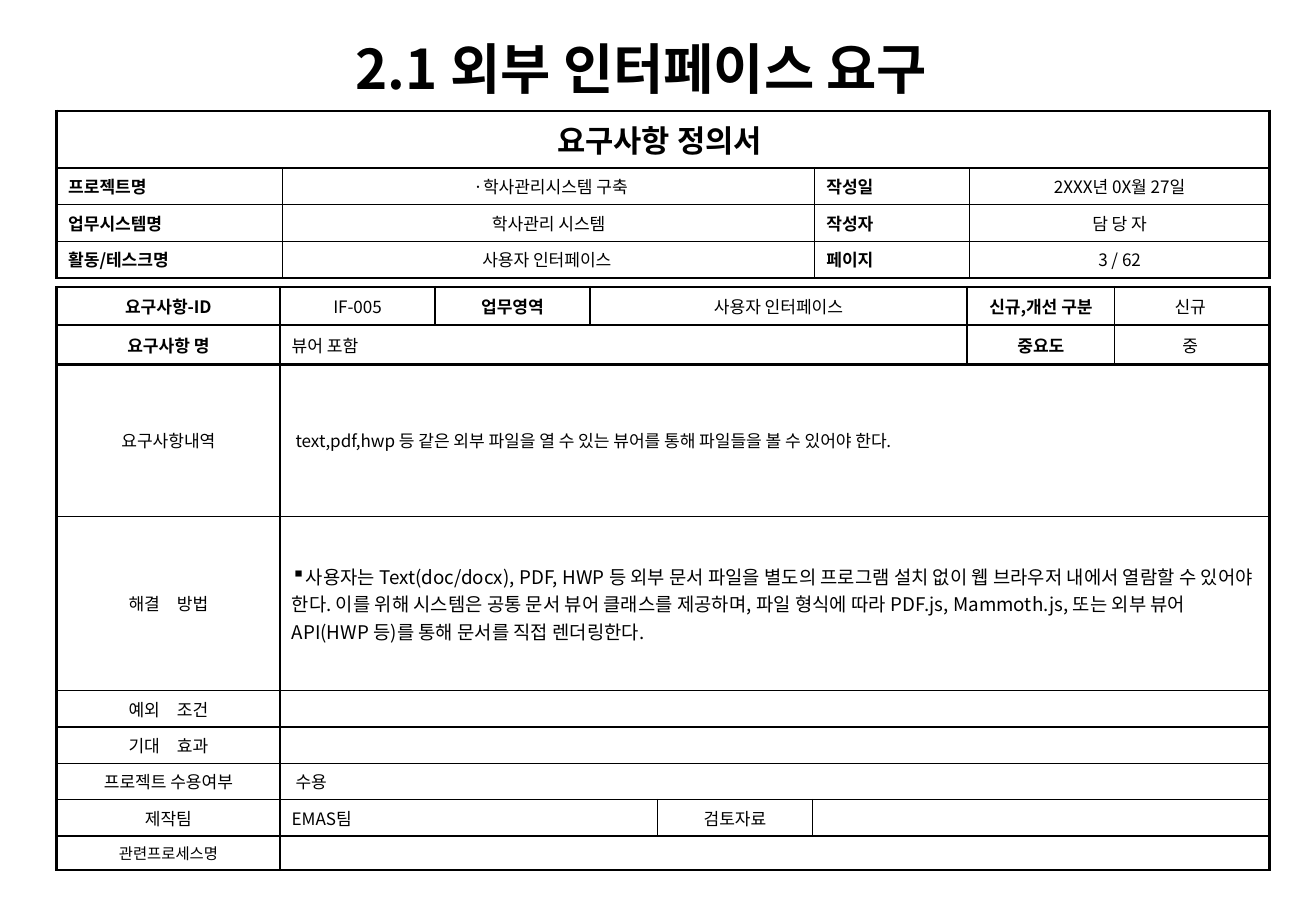
"""Build a requirement definition sheet for an external interface."""
from lxml.etree import SubElement
from pptx import Presentation
from pptx.dml.color import RGBColor
from pptx.enum.text import MSO_ANCHOR, PP_ALIGN
from pptx.oxml.ns import qn
from pptx.util import Cm, Pt

FONT = "Noto Sans CJK KR"
COLORS = {"ink": "000000", "paper": "FFFFFF"}
THIN, THICK = 1, 1.5
LEFT, CENTER = PP_ALIGN.LEFT, PP_ALIGN.CENTER

PROJECT_COLUMNS = [4.67, 11, 3.2, 6.2]
PROJECT_ROWS = [1.18, 0.76, 0.76, 0.76]
PROJECT_FIELDS = [
    ("프로젝트명", " ·학사관리시스템 구축", "작성일", "2XXX년 0X월 27일"),
    ("업무시스템명 ", "학사관리 시스템", "작성자", "담 당 자"),
    ("활동/테스크명", "사용자 인터페이스 ", "페이지", "3 / 62"),
]

REQUIREMENT_COLUMNS = [4.62, 3.2, 3.2, 1.4, 3.2, 3.2, 3.05, 3.2]
REQUIREMENT_ROWS = [0.79, 0.81, 3.14, 3.6, 0.75, 0.75, 0.75, 0.75, 0.7]
SOLUTION = (
    "사용자는 Text(doc/docx), PDF, HWP 등 외부 문서 파일을 별도의 프로그램 설치 없이 "
    "웹 브라우저 내에서 열람할 수 있어야 한다. 이를 위해 시스템은 공통 문서 뷰어 클래스를 "
    "제공하며, 파일 형식에 따라 PDF.js, Mammoth.js, 또는 외부 뷰어 API(HWP 등)를 통해 "
    "문서를 직접 렌더링한다."
)
HEADING = {"bold": True}
VALUE = {"align": LEFT}
REQUIREMENT_FIELDS = [
    [("요구사항-ID", 1, HEADING), ("IF-005", 1, {}), ("업무영역", 1, HEADING),
     ("사용자 인터페이스", 3, {}), ("신규,개선 구분", 1, HEADING), ("신규 ", 1, {})],
    [("요구사항 명", 1, HEADING), ("뷰어 포함", 5, VALUE),
     ("중요도", 1, HEADING), ("중 ", 1, {})],
    [("요구사항내역", 1, {}),
     (" text,pdf,hwp 등 같은 외부 파일을 열 수 있는 뷰어를 통해 파일들을 볼 수 있어야 한다.",
      7, VALUE)],
    [("해결　방법", 1, {}), (SOLUTION, 7, {"align": LEFT, "size": 11, "bullet": "▪"})],
    [("예외　조건", 1, {}), ("", 7, VALUE)],
    [("기대　효과", 1, {}), ("", 7, VALUE)],
    [("프로젝트 수용여부", 1, {}), (" 수용", 7, VALUE)],
    [("제작팀", 1, {}), ("EMAS팀", 3, VALUE), ("검토자료", 1, {}), ("", 3, VALUE)],
    [("관련프로세스명", 1, {"size": 9}), ("", 7, VALUE)],
]


def add_run(paragraph, text, size, bold):
    """Add one formatted run to a paragraph."""
    run = paragraph.add_run()
    run.text = text
    run.font.size = Pt(size)
    run.font.bold = bold
    run.font.name = FONT
    run.font.color.rgb = RGBColor.from_string(COLORS["ink"])
    SubElement(run.font._element, qn("a:ea"), typeface=FONT)


def add_bullet(paragraph, character):
    """Put a bullet directly in front of a paragraph."""
    properties = paragraph._p.get_or_add_pPr()
    properties.set("marL", "0")
    properties.set("indent", "0")
    SubElement(properties, qn("a:buChar"), char=character)


def fill_cell(cell, text, size=10, bold=False, align=CENTER, bullet=None,
              anchor=MSO_ANCHOR.MIDDLE):
    """Write text into a table cell."""
    cell.vertical_anchor = anchor
    paragraph = cell.text_frame.paragraphs[0]
    paragraph.alignment = align
    if bullet:
        add_bullet(paragraph, bullet)
    if text:
        add_run(paragraph, text, size, bold)


def style_cell(cell, widths):
    """Set the margins, borders and fill of a cell."""
    cell.margin_left = cell.margin_right = Cm(0.24)
    cell.margin_top = cell.margin_bottom = Cm(0.12)
    properties = cell._tc.get_or_add_tcPr()
    for side, width in zip("LRTB", widths):
        line = SubElement(properties, qn(f"a:ln{side}"), w=str(Pt(width)))
        fill = SubElement(line, qn("a:solidFill"))
        SubElement(fill, qn("a:srgbClr"), val=COLORS["ink"])
    cell.fill.solid()
    cell.fill.fore_color.rgb = RGBColor.from_string(COLORS["paper"])
    if not cell.text_frame.text:
        SubElement(cell.text_frame.paragraphs[0]._p, qn("a:endParaRPr"), sz="900")


def add_grid(slide, top, columns, rows):
    """Add an empty table with the given column widths and row heights."""
    frame = slide.shapes.add_table(len(rows), len(columns), Cm(1.17), Cm(top),
                                   Cm(sum(columns)), Cm(sum(rows)))
    table = frame.table
    table.first_row = table.horz_banding = False
    for column, width in zip(table.columns, columns):
        column.width = Cm(width)
    for row, height in zip(table.rows, rows):
        row.height = Cm(height)
    return table


def style_grid(table, thick_lines):
    """Draw thick outer borders, thick chosen row lines and thin other lines."""
    last_row, last_column = len(table.rows), len(table.columns)
    thick_lines = {0, last_row, *thick_lines}
    for row in range(last_row):
        for column in range(last_column):
            cell = table.cell(row, column)
            right = column + (cell.span_width if cell.is_merge_origin else 1)
            thick = (column == 0, right == last_column,
                     row in thick_lines, row + 1 in thick_lines)
            style_cell(cell, [THICK if flag else THIN for flag in thick])


def add_project_table(slide):
    """Add the table that names the project and its author."""
    table = add_grid(slide, 2.29, PROJECT_COLUMNS, PROJECT_ROWS)
    table.cell(0, 0).merge(table.cell(0, 3))
    fill_cell(table.cell(0, 0), "요구사항 정의서 ", size=18, bold=True)
    for row, fields in enumerate(PROJECT_FIELDS, start=1):
        for column, text in enumerate(fields):
            label = column % 2 == 0
            fill_cell(table.cell(row, column), text, bold=label,
                      align=LEFT if label else CENTER, anchor=MSO_ANCHOR.TOP)
    style_grid(table, [])


def add_requirement_table(slide):
    """Add the table that describes the requirement."""
    table = add_grid(slide, 5.93, REQUIREMENT_COLUMNS, REQUIREMENT_ROWS)
    for row, fields in enumerate(REQUIREMENT_FIELDS):
        column = 0
        for text, span, options in fields:
            cell = table.cell(row, column)
            if span > 1:
                cell.merge(table.cell(row, column + span - 1))
            fill_cell(cell, text, **options)
            column += span
    style_grid(table, [1, 2])


def add_title(slide, text):
    """Place and format the slide title."""
    title = slide.shapes.title
    title.left, title.top, title.width, title.height = Cm(4.32), Cm(0.3), Cm(17.88), Cm(2.06)
    title.text_frame.vertical_anchor = MSO_ANCHOR.MIDDLE
    paragraph = title.text_frame.paragraphs[0]
    paragraph.alignment = CENTER
    paragraph.line_spacing = 1.1
    add_run(paragraph, text, size=32, bold=True)


def main():
    """Build and save the presentation."""
    presentation = Presentation()
    presentation.slide_width, presentation.slide_height = Cm(27.2), Cm(19.05)
    slide = presentation.slides.add_slide(presentation.slide_layouts[5])
    add_title(slide, "2.1 외부 인터페이스 요구")
    add_project_table(slide)
    add_requirement_table(slide)
    presentation.save("out.pptx")


if __name__ == "__main__":
    main()
